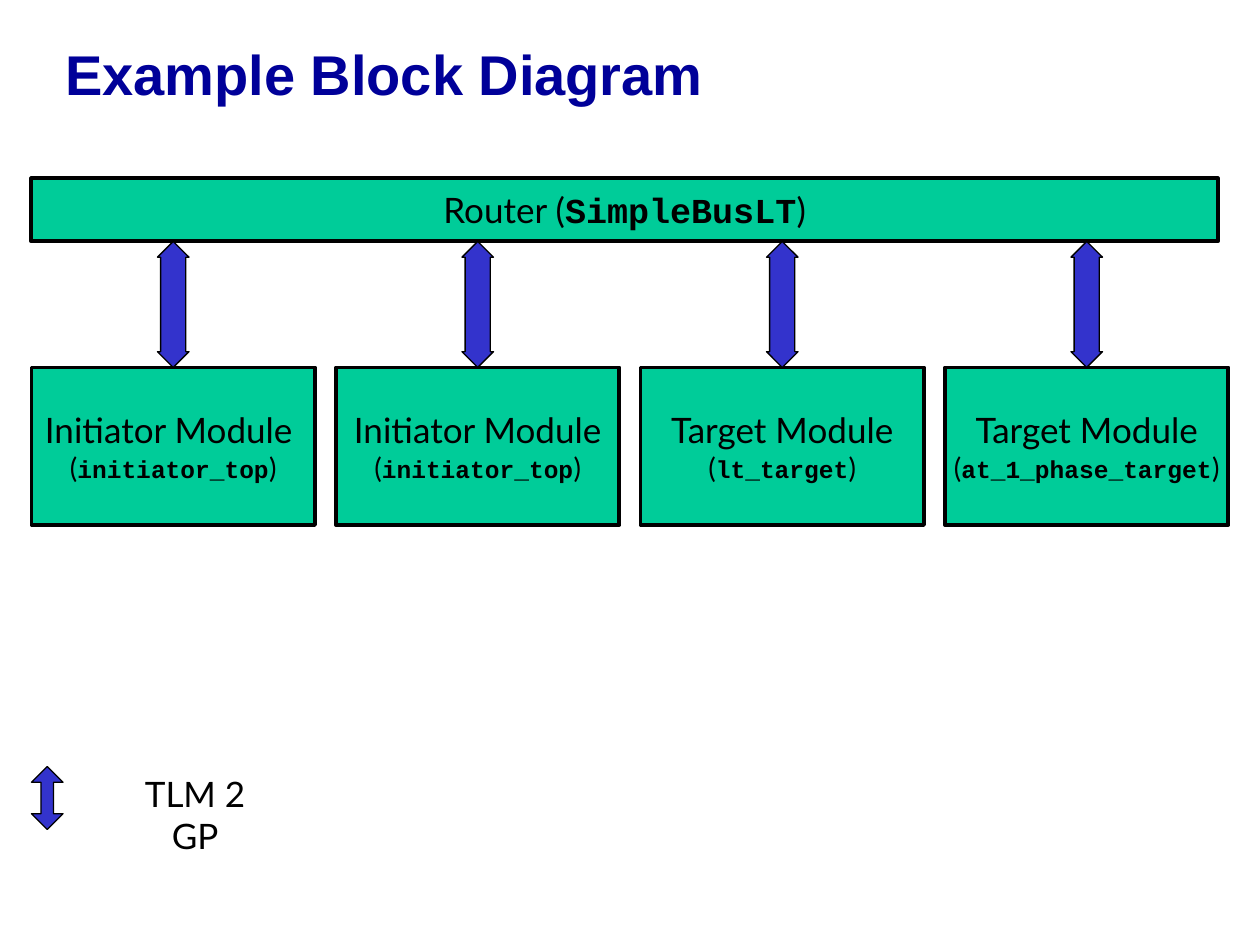
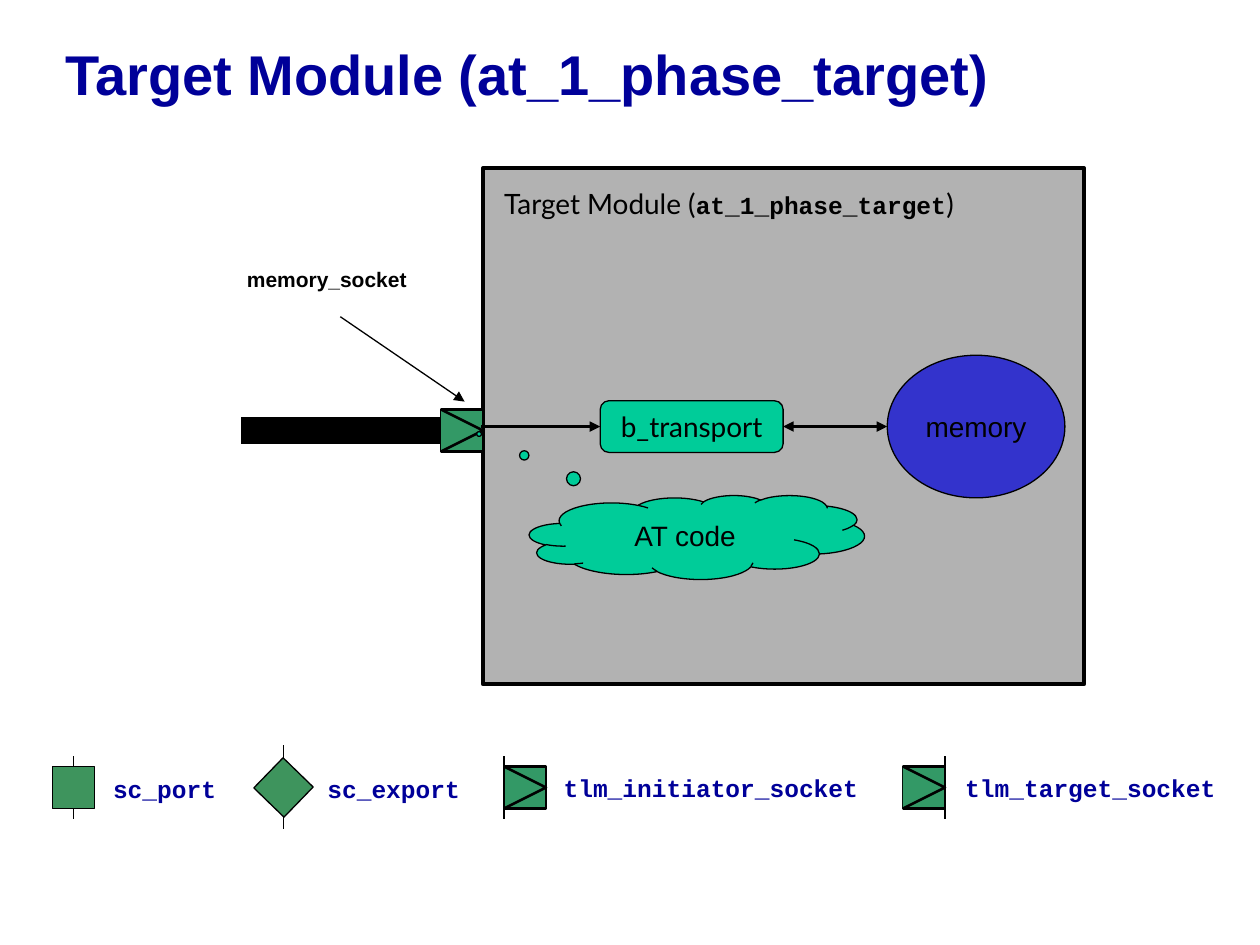
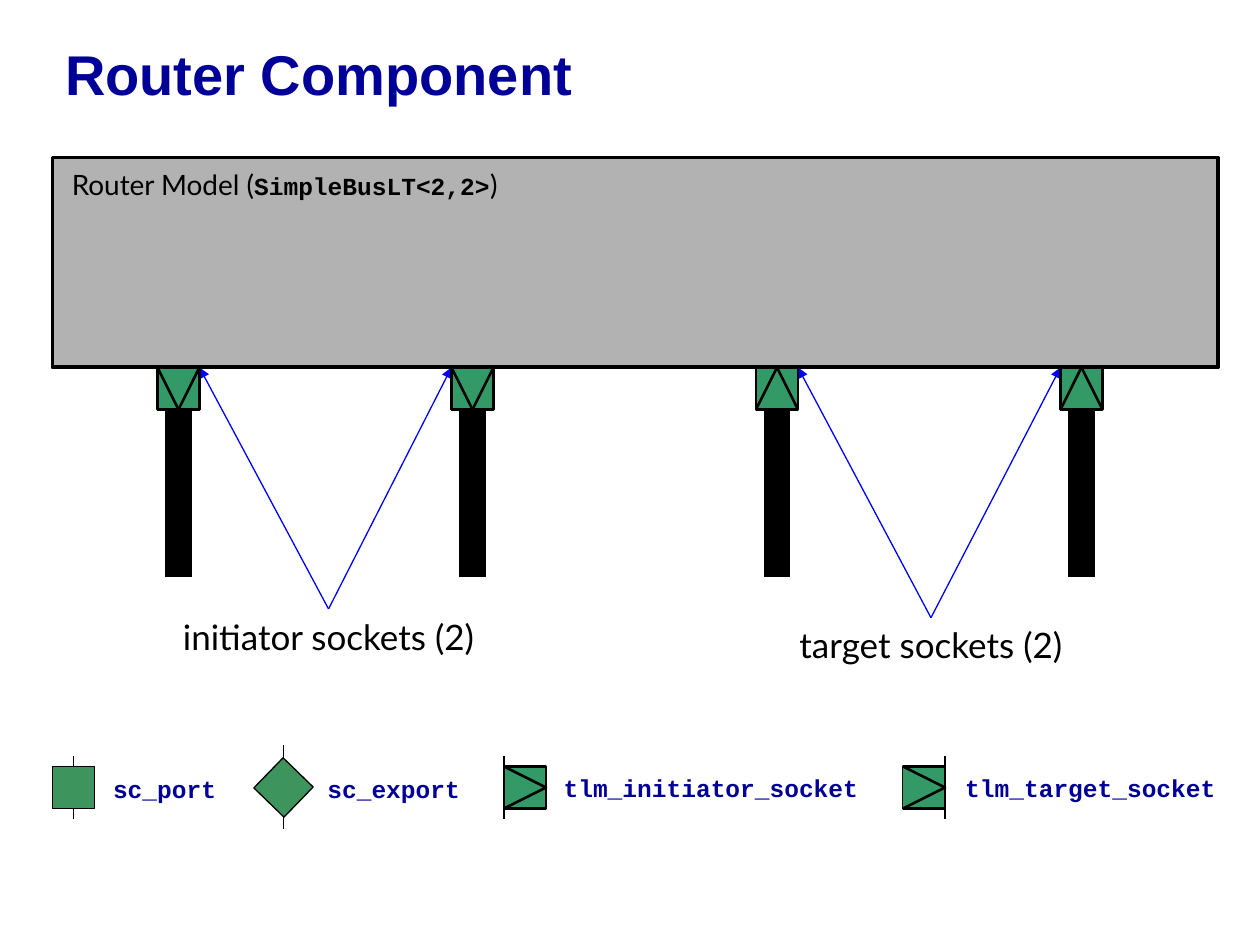
from lxml import etree
from pptx import Presentation
from pptx.dml.color import RGBColor
from pptx.enum import shapes as kinds, text as tx
from pptx.oxml.ns import qn
from pptx.util import Pt

BLACK, NAVY, BLUE, INDIGO = "000000", "000099", "0000FF", "3333CC"
MINT, GREEN, PORT_GREEN, GRAY = "00CC99", "339966", "3E945D", "B2B2B2"
SANS, HUMANIST, MONO = "Arial", "Lato", "Courier New"
SOCKET = 24
KIND = kinds.MSO_SHAPE
LEFT, CENTER = tx.PP_ALIGN.LEFT, tx.PP_ALIGN.CENTER


def rgb(value):
    return RGBColor.from_string(value)


def plain(words, size=20, font=HUMANIST):
    return words, size, font, False, BLACK


def bold(words, size=14, font=MONO, color=BLACK):
    return words, size, font, True, color


def named(label, code, size=16, code_size=14):
    """Runs for a label followed by a code name in parentheses."""
    return [plain(label + "(", size), bold(code, code_size), plain(")", size)]


def write(frame, paragraphs, align):
    for index, runs in enumerate(paragraphs):
        paragraph = frame.add_paragraph() if index else frame.paragraphs[0]
        paragraph.alignment = align
        for words, size, font, is_bold, color in runs:
            run = paragraph.add_run()
            run.text = words
            run.font.size = Pt(size)
            run.font.name = font
            run.font.bold = is_bold
            run.font.color.rgb = rgb(color)


def paint(shape, fill, weight):
    shape.shadow.inherit = False
    shape.fill.solid()
    shape.fill.fore_color.rgb = rgb(fill)
    shape.line.color.rgb = rgb(BLACK)
    shape.line.width = Pt(weight)
    return shape


def add_block(canvas, kind, box, fill, weight=0.75, paragraphs=(), adjust=()):
    block = paint(canvas.add_shape(kind, *map(Pt, box)), fill, weight)
    for index, value in enumerate(adjust):
        block.adjustments[index] = value
    if paragraphs:
        frame = block.text_frame
        frame.word_wrap = False
        frame.vertical_anchor = tx.MSO_ANCHOR.MIDDLE
        write(frame, paragraphs, CENTER)
    return block


def add_label(canvas, box, runs, align=LEFT, wrap=False):
    label = canvas.add_textbox(*map(Pt, box))
    frame = label.text_frame
    frame.word_wrap = wrap
    frame.auto_size = tx.MSO_AUTO_SIZE.SHAPE_TO_FIT_TEXT
    write(frame, [runs], align)
    return label


def add_line(canvas, start, end, weight=0.75, color=BLACK, heads=()):
    """Straight line; heads lists "headEnd" (start) and "tailEnd" (end)."""
    line = canvas.add_connector(kinds.MSO_CONNECTOR.STRAIGHT,
                                *map(Pt, (*start, *end)))
    line.line.color.rgb = rgb(color)
    line.line.width = Pt(weight)
    properties = line._element.spPr
    for head in heads:
        etree.SubElement(properties.find(qn("a:ln")), qn("a:" + head),
                         type="triangle")
    etree.SubElement(properties, qn("a:effectLst"))
    return line


def add_bus(canvas, start, socket, side):
    """Thick line from a free end to the middle of a socket's side."""
    bus = add_line(canvas, start, start, 15)
    bus.end_connect(socket, side)


def add_socket(canvas, x, y):
    """Socket with a wedge that points right."""
    socket = add_block(canvas, KIND.RECTANGLE, (x, y, SOCKET, SOCKET), GREEN, 1.5)
    wedge = canvas.build_freeform(Pt(x), Pt(y))
    wedge.add_line_segments([(Pt(x + SOCKET), Pt(y + SOCKET / 2)),
                             (Pt(x), Pt(y + SOCKET))], close=False)
    paint(wedge.convert_to_shape(), GREEN, 1.5)
    return socket


def add_router_socket(canvas, x, y, points_up):
    socket = add_block(canvas, KIND.RECTANGLE, (x, y, SOCKET, SOCKET), GREEN, 1.5)
    base, tip = (y + SOCKET, y) if points_up else (y, y + SOCKET)
    apex = (x + SOCKET / 2, tip)
    add_line(canvas, (x, base), apex, 1.5)
    add_line(canvas, apex, (x + SOCKET, base), 1.5)
    return socket


def add_legend(slide):
    canvas = slide.shapes.add_group_shape().shapes
    top = 438
    for name, x, label_x, label_y, width, edge in (
            ("tlm_initiator_socket", 288, 315, 438, 183, 288),
            ("tlm_target_socket", 516, 544.5, 438, 157.5, 540)):
        add_label(canvas, (label_x, label_y, width, 24.5), [bold(name, color=NAVY)])
        add_socket(canvas, x, top)
        add_line(canvas, (edge, top - 6), (edge, top + 30))
    for name, x, label_x, label_y, width, reach, turn in (
            ("sc_port", 30, 57.5, 439, 73.5, 18, 0),
            ("sc_export", 150, 180, 438.5, 90, 24, 44.1)):
        add_label(canvas, (label_x, label_y, width, 24.5), [bold(name, color=NAVY)])
        middle_x, middle_y = x + SOCKET / 2, top + SOCKET / 2
        add_line(canvas, (middle_x, middle_y - reach), (middle_x, middle_y + reach))
        port = add_block(canvas, KIND.RECTANGLE, (x, top, SOCKET, SOCKET), PORT_GREEN)
        port.rotation = turn


def add_slide(deck, heading):
    slide = deck.slides.add_slide(deck.slide_layouts[5])
    title = slide.shapes.title
    title.left, title.top, title.width, title.height = map(Pt, (30, 0, 684, 90))
    frame = title.text_frame
    frame.auto_size = tx.MSO_AUTO_SIZE.NONE
    frame.vertical_anchor = tx.MSO_ANCHOR.MIDDLE
    write(frame, [[bold(heading, 32, SANS, NAVY)]], LEFT)
    frame.paragraphs[0].line_spacing = 0.85
    return slide


def build_block_diagram(deck):
    canvas = add_slide(deck, "Example Block Diagram").shapes
    legend = add_label(canvas, (60, 438, 103, 56), [plain("TLM 2 GP")], CENTER, True)
    legend.text_frame.margin_left = legend.text_frame.margin_right = Pt(18)
    add_block(canvas, KIND.UP_DOWN_ARROW, (18, 438, 18, 36), INDIGO,
              adjust=(0.5, 0.4))
    add_block(canvas, KIND.RECTANGLE, (18, 102, 678, 36), MINT, 2.25,
              [named("Router ", "SimpleBusLT", 20, 20)])
    modules = (("Initiator Module ", "initiator_top"),
               ("Initiator Module", "initiator_top"),
               ("Target Module", "lt_target"),
               ("Target Module", "at_1_phase_target"))
    for index, (role, code) in enumerate(modules):
        x = 18 + 174 * index
        add_block(canvas, KIND.RECTANGLE, (x, 210, 162, 90), MINT, 2.25,
                  [[plain(role)], named("", code)])
        add_block(canvas, KIND.UP_DOWN_ARROW, (x + 72, 138, 18, 72), INDIGO,
                  adjust=(0.5, 0.8))


def build_target_module(deck):
    slide = add_slide(deck, "Target Module (at_1_phase_target)")
    add_legend(slide)
    canvas = slide.shapes
    add_block(canvas, KIND.RECTANGLE, (276, 96, 343.5, 295), GRAY, 2.25)
    heading = add_label(canvas, (281, 103, 327.5, 26.5),
                        named("Target Module ", "at_1_phase_target"), wrap=True)
    heading.text_frame.paragraphs[0].space_before = Pt(10)

    socket = add_socket(canvas, 252, 234)
    add_bus(canvas, (138, 246), socket, 1)
    transport = add_block(canvas, KIND.ROUNDED_RECTANGLE, (343, 229, 104.5, 29.5),
                          MINT, paragraphs=[[plain("b_transport", 16)]])
    add_block(canvas, KIND.OVAL, (507, 203, 101.5, 81.5), INDIGO,
              paragraphs=[[plain("memory", 16, SANS)]])
    request = add_line(canvas, (275, 243.75), (343, 243.75), 2, heads=["tailEnd"])
    request.end_connect(transport, 1)
    access = add_line(canvas, (447.5, 243.75), (507, 243.75), 2,
                      heads=["headEnd", "tailEnd"])
    access.begin_connect(transport, 3)

    add_label(canvas, (134, 149, 106, 21.5), [bold("memory_socket", 12, SANS)])
    add_line(canvas, (194.5, 181), (265.5, 229.5), heads=["tailEnd"])
    add_block(canvas, KIND.CLOUD_CALLOUT, (302.5, 283, 191.5, 48), MINT,
              paragraphs=[[plain("AT code", 16, SANS)]], adjust=(-0.65, -1.23))


def build_router(deck):
    slide = add_slide(deck, "Router Component")
    add_legend(slide)
    canvas = slide.shapes
    add_block(canvas, KIND.RECTANGLE, (30, 90, 666, 120), GRAY, 2.25)
    heading = add_label(canvas, (34, 96, 416, 23),
                        named("Router Model ", "SimpleBusLT<2,2>"), wrap=True)
    heading.text_frame.paragraphs[0].space_before = Pt(10)
    heading.text_frame.paragraphs[0].line_spacing = 0.8

    for caption, box, sockets, points_up in (
            ("target sockets (2)", (444, 353, 176, 31.5), (432, 606), True),
            ("initiator sockets (2)", (91.5, 348, 192.5, 31.5), (90, 258), False)):
        label = add_label(canvas, box, [plain(caption)], CENTER)
        first, second = sockets
        for corner in (second, first + SOCKET):
            pointer = add_line(canvas, (box[0] + box[2] / 2, box[1]), (corner, 210),
                               color=BLUE, heads=["tailEnd"])
            pointer.begin_connect(label, 0)
        for x in sockets:
            socket = add_router_socket(canvas, x, 210, points_up)
            add_bus(canvas, (x + SOCKET / 2, 330), socket, 2)


def main():
    deck = Presentation()
    deck.slide_width, deck.slide_height = Pt(720), Pt(540)
    build_block_diagram(deck)
    build_target_module(deck)
    build_router(deck)
    deck.save("out.pptx")


if __name__ == "__main__":
    main()
